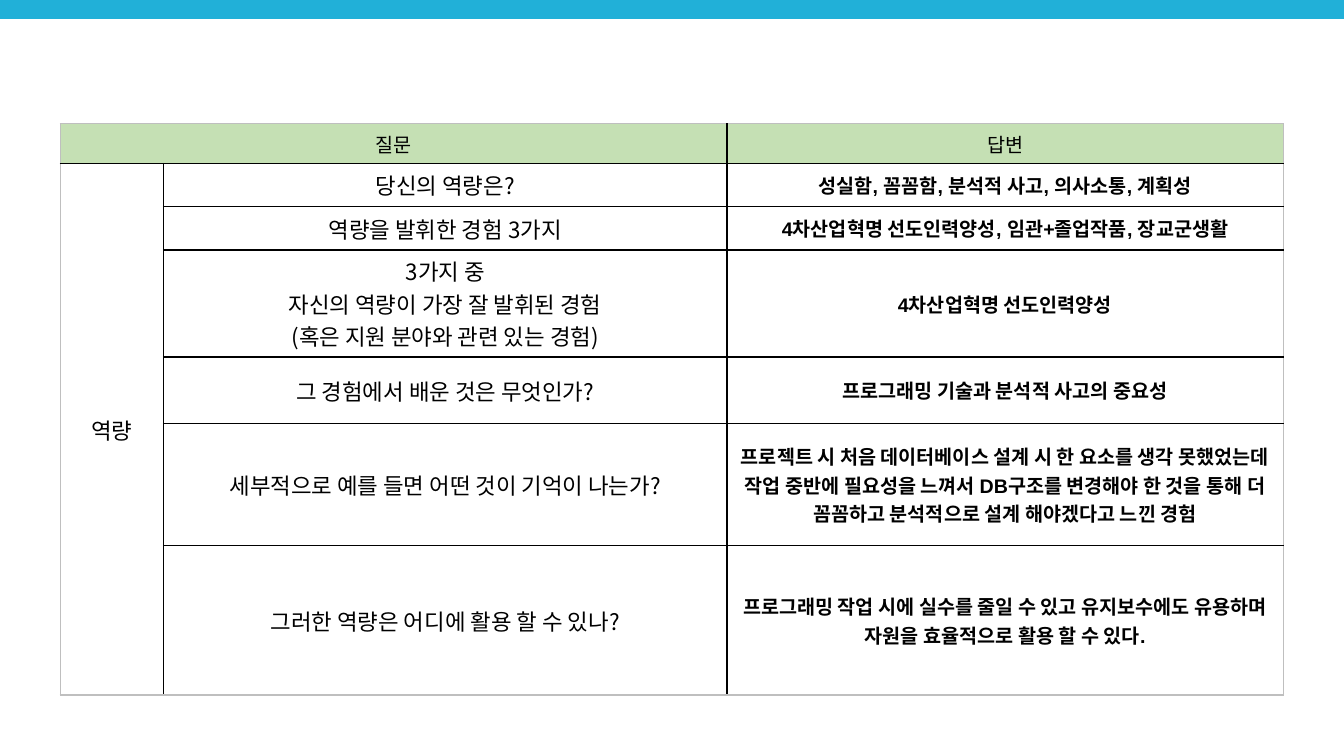
from lxml.etree import SubElement
from pptx import Presentation
from pptx.dml.color import RGBColor
from pptx.enum.shapes import MSO_SHAPE as Shape
from pptx.enum.text import MSO_ANCHOR as Anchor, PP_ALIGN as Align
from pptx.oxml.ns import qn
from pptx.util import Cm, Pt

KOREAN, LATIN = "Noto Sans CJK KR", "Arial"
BLUE, GREEN, BLACK, GRAY = "21B0D8", "C5E0B4", "000000", "BFBFBF"

COL_WIDTHS = [2.6, 14.2, 14.02]
ROW_HEIGHTS = [1, 1.09, 1.09, 2.69, 1.68, 3.07, 3.77]

# Question lines and the answer to each
QUESTIONS = [
    (["당신의 역량은?"],
     "성실함, 꼼꼼함, 분석적 사고, 의사소통, 계획성"),
    (["역량을 발휘한 경험 3가지"],
     "4차산업혁명 선도인력양성, 임관+졸업작품, 장교군생활"),
    (["3가지 중",
      "자신의 역량이 가장 잘 발휘된 경험",
      "(혹은 지원 분야와 관련 있는 경험)"],
     "4차산업혁명 선도인력양성"),
    (["그 경험에서 배운 것은 무엇인가?"],
     "프로그래밍 기술과 분석적 사고의 중요성"),
    (["세부적으로 예를 들면 어떤 것이 기억이 나는가?"],
     "프로젝트 시 처음 데이터베이스 설계 시 한 요소를 생각 못했었는데 "
     "작업 중반에 필요성을 느껴서 DB구조를 변경해야 한 것을 통해 "
     "더 꼼꼼하고 분석적으로 설계 해야겠다고 느낀 경험"),
    (["그러한 역량은 어디에 활용 할 수 있나?"],
     "프로그래밍 작업 시에 실수를 줄일 수 있고 유지보수에도 유용하며 "
     "자원을 효율적으로 활용 할 수 있다."),
]


def rgb(color):
    return RGBColor.from_string(color)


def add_bar(s, width, height, color):
    bar = s.shapes.add_shape(Shape.RECTANGLE, 0, 0, width, height)
    bar.shadow.inherit = False
    bar.fill.solid()
    bar.fill.fore_color.rgb = rgb(color)
    bar.line.fill.background()


def write_cell(cell, lines, size, font=KOREAN, bold=False):
    cell.vertical_anchor = Anchor.MIDDLE
    tf = cell.text_frame
    for i, line in enumerate(lines):
        p = tf.add_paragraph() if i else tf.paragraphs[0]
        p.alignment = Align.CENTER
        r = p.add_run()
        r.text = line
        r.font.name, r.font.size, r.font.bold = font, Pt(size), bold
        r.font.color.rgb = rgb(BLACK)
        SubElement(r.font._element, qn("a:ea"), typeface=KOREAN)


def fill_cell(cell, color=None):
    if color:
        cell.fill.solid()
        cell.fill.fore_color.rgb = rgb(color)
    else:
        cell.fill.background()


def set_borders(cell, colors):
    """Colours run left, right, top, bottom; borders precede the fill."""
    tc_pr = cell._tc.get_or_add_tcPr()
    for i, (side, color) in enumerate(zip("LRTB", colors)):
        ln = SubElement(tc_pr, qn(f"a:ln{side}"), w=str(Pt(1)))
        solid = SubElement(ln, qn("a:solidFill"))
        SubElement(solid, qn("a:srgbClr"), val=color)
        tc_pr.insert(i, ln)


def add_grid(s, left, top):
    rows, cols = len(ROW_HEIGHTS), len(COL_WIDTHS)
    frame = s.shapes.add_table(rows, cols, left, top,
                               Cm(sum(COL_WIDTHS)), Cm(sum(ROW_HEIGHTS)))
    table = frame.table
    for col, width in zip(table.columns, COL_WIDTHS):
        col.width = Cm(width)
    for row, height in zip(table.rows, ROW_HEIGHTS):
        row.height = Cm(height)
    table.cell(0, 0).merge(table.cell(0, 1))
    table.cell(1, 0).merge(table.cell(rows - 1, 0))

    # Gray frame outside, black lines inside
    for i in range(rows):
        for j in range(cols):
            cell = table.cell(i, j)
            fill_cell(cell, GREEN if i == 0 else None)
            outer = (j == 0, j + cell.span_width == cols or j == cols - 1,
                     i == 0, i + cell.span_height == rows or i == rows - 1)
            set_borders(cell, [GRAY if edge else BLACK for edge in outer])
    return table


def main():
    prs = Presentation()
    prs.slide_width, prs.slide_height = Cm(33.87), Cm(19.05)
    s = prs.slides.add_slide(prs.slide_layouts[6])

    # Top band
    add_bar(s, prs.slide_width, Cm(0.48), BLUE)

    # Question and answer table
    table = add_grid(s, Cm(1.52), Cm(3.12))
    write_cell(table.cell(0, 0), ["질문"], 14)
    write_cell(table.cell(0, 2), ["답변"], 14)
    write_cell(table.cell(1, 0), ["역량"], 16)
    for i, (question, answer) in enumerate(QUESTIONS, 1):
        write_cell(table.cell(i, 1), question, 16)
        write_cell(table.cell(i, 2), [answer], 14, LATIN, bold=True)

    prs.save("out.pptx")


if __name__ == "__main__":
    main()
